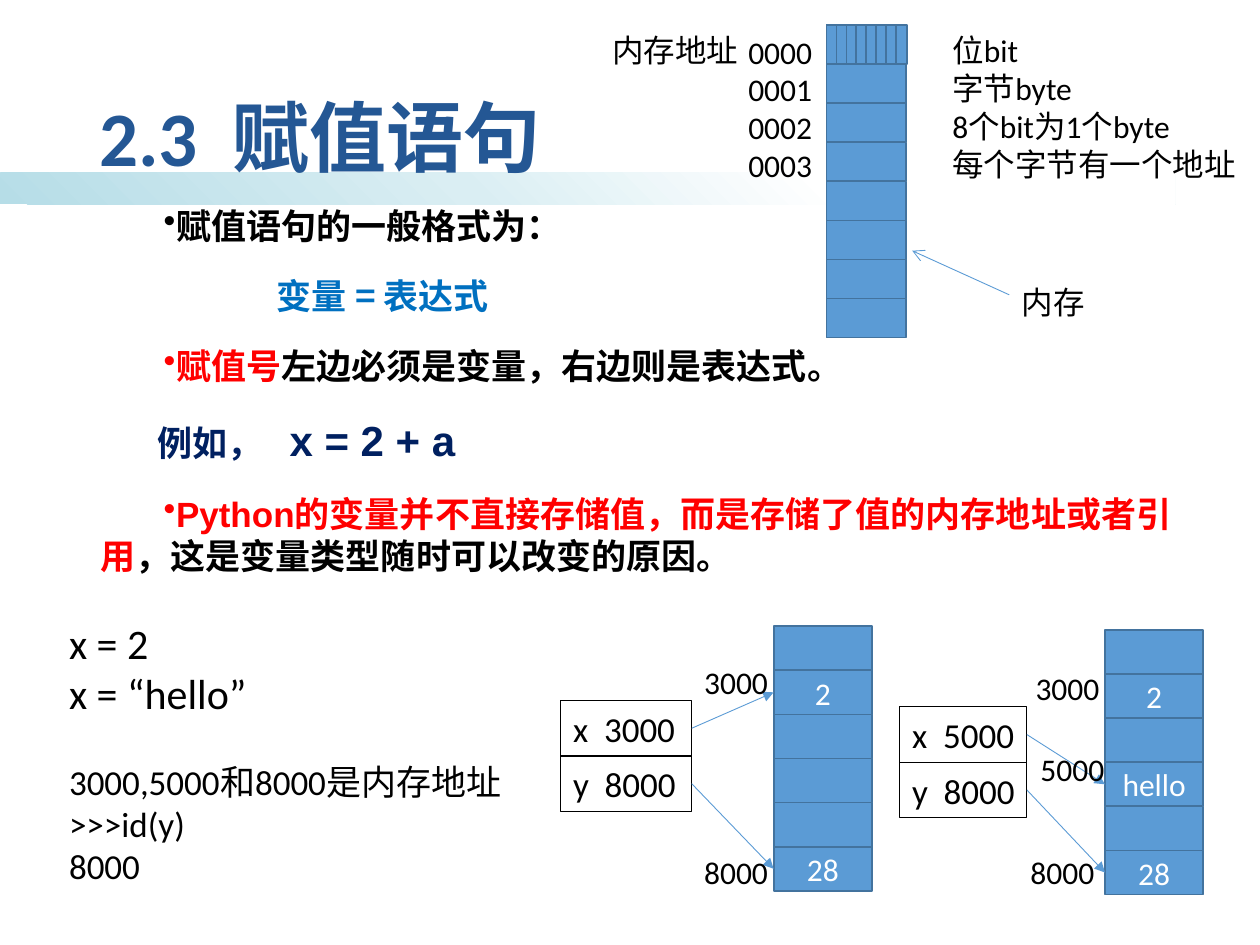
from lxml.etree import SubElement
from pptx import Presentation
from pptx.dml.color import RGBColor
from pptx.enum.shapes import MSO_CONNECTOR, MSO_SHAPE
from pptx.enum.text import MSO_ANCHOR, PP_ALIGN
from pptx.oxml import parse_xml
from pptx.oxml.ns import nsdecls, qn
from pptx.util import Inches, Pt

COLORS = {
    "title": "245794", "text": "000000", "red": "FF0000", "formula": "0070C0",
    "navy": "002060", "cell": "5B9BD5", "edge": "43739E", "white": "FFFFFF",
    "band": "B6DDE7", "band_mid": "DAEEF3",
}


def rgb(name):
    """Return the named colour."""
    return RGBColor.from_string(COLORS[name])


def set_font(font, color="text", **values):
    """Apply colour and format values to a font."""
    for key, value in {"name": "Calibri", "size": Pt(18), **values}.items():
        setattr(font, key, value)
    font.color.rgb = rgb(color)


def add_text(s, box, lines, size=18, wrap=False):
    """Add a text box with one paragraph per line and return its text frame."""
    tf = s.shapes.add_textbox(*map(Inches, box)).text_frame
    tf.word_wrap = wrap
    for i, line in enumerate(lines):
        p = tf.paragraphs[0] if i == 0 else tf.add_paragraph()
        r = p.add_run()
        r.text = line
        set_font(r.font, size=Pt(size))
    return tf


def add_box(s, box, fill=None, line=None, width=1):
    """Add a rectangle without shadow."""
    sp = s.shapes.add_shape(MSO_SHAPE.RECTANGLE, *map(Inches, box))
    sp.shadow.inherit = False
    if fill:
        sp.fill.solid()
        sp.fill.fore_color.rgb = rgb(fill)
    else:
        sp.fill.background()
    if line:
        sp.line.color.rgb = rgb(line)
        sp.line.width = Pt(width)
    else:
        sp.line.fill.background()
    return sp


def add_label(sp, text, color, size, align):
    """Write one line of text inside a shape."""
    tf = sp.text_frame
    tf.word_wrap = False
    tf.vertical_anchor = MSO_ANCHOR.MIDDLE
    p = tf.paragraphs[0]
    p.alignment = align
    r = p.add_run()
    r.text = text
    set_font(r.font, color, size=Pt(size))


def add_memory(s, left, top, size, step, values):
    """Add a run of memory cells, spaced by step, and return them."""
    cells = []
    for i, value in enumerate(values):
        box = (left + i * step[0], top + i * step[1], *size)
        cells.append(add_box(s, box, "cell", "edge"))
        if value:
            add_label(cells[-1], value, "white", 18, PP_ALIGN.CENTER)
    return cells


def add_arrow(s, ends, end="tailEnd", kind="triangle"):
    """Add a thin arrow with a head at the given end."""
    c = s.shapes.add_connector(MSO_CONNECTOR.STRAIGHT, *map(Inches, ends))
    c.line.color.rgb = rgb("cell")
    c.line.width = Pt(0.5)
    SubElement(c.line._get_or_add_ln(), qn("a:" + end), type=kind)
    SubElement(c._element.spPr, qn("a:effectLst"))
    return c


def add_variables(s, left, top, width, names, cells):
    """Add stacked variable boxes, each pointing at its memory cell."""
    for i, (name, cell) in enumerate(zip(names, cells)):
        sp = add_box(s, (left, top + i * 0.44, width, 0.44), None, "text", 0.75)
        add_label(sp, name, "text", 20, PP_ALIGN.LEFT)
        c = add_arrow(s, (0, 0, 1, 1))
        c.begin_connect(sp, 3)
        c.end_connect(cell, 1)


def add_band(s):
    """Add the fading band behind the title."""
    sp = add_box(s, (0, 1.37, 9.33, 0.25), "band")
    stops = ((0, "band"), (40, "band_mid"), (70, "white"), (100, "white"))
    gs = "".join(
        f'<a:gs pos="{pos * 1000}"><a:srgbClr val="{COLORS[name]}"/></a:gs>'
        for pos, name in stops)
    grad = parse_xml(f'<a:gradFill {nsdecls("a")}><a:gsLst>{gs}</a:gsLst>'
                     '<a:lin ang="18900000" scaled="0"/></a:gradFill>')
    spPr = sp._element.spPr
    spPr.replace(spPr.find(qn("a:solidFill")), grad)


def add_title(s):
    """Add the slide title."""
    tf = add_text(s, (0.69, 0.4, 8.62, 1.45), ["2.3  赋值语句"], wrap=True)
    tf.vertical_anchor = MSO_ANCHOR.MIDDLE
    p = tf.paragraphs[0]
    p.line_spacing = 0.9
    set_font(p.runs[0].font, "title", size=Pt(44), bold=True)


def add_body(s):
    """Add the explanation of assignment statements."""
    arial, cjk = "Arial", "Noto Sans CJK SC"
    paragraphs = (
        (0.5, True, [("赋值语句的一般格式为：", "text", arial, 20)]),
        (1.4, False, [("变量 = 表达式", "formula", cjk, 20)]),
        (0.5, True, [("赋值号", "red", arial, 20),
                     ("左边必须是变量，右边则是表达式。", "text", arial, 20)]),
        (0.45, False, [("例如，\t", "navy", arial, 20),
                       ("x = 2 + a", "navy", arial, 24)]),
        (0.5, True, [
            ("Python的变量并不直接存储值，而是存储了值的内存地址或者引用",
             "red", arial, 20),
            ("，这是变量类型随时可以改变的原因。", "text", arial, 20)]),
    )
    tf = s.shapes.add_textbox(*map(Inches, (0.45, 1.57, 9.1, 3.06))).text_frame
    tf.word_wrap = True
    for i, (indent, bullet, runs) in enumerate(paragraphs):
        p = tf.paragraphs[0] if i == 0 else tf.add_paragraph()
        p.space_before = Pt(10 if i else 0)
        p.space_after = Pt(6)
        pPr = p._p.get_or_add_pPr()
        pPr.set("marL", str(Inches(0.25)))
        pPr.set("indent", str(Inches(indent)))
        if bullet:
            SubElement(pPr, qn("a:buChar"), char="•")
        else:
            SubElement(pPr, qn("a:buNone"))
            tabs = SubElement(pPr, qn("a:tabLst"))
            SubElement(tabs, qn("a:tab"), pos=str(Inches(2.1)), algn="l")
        for text, color, name, size in runs:
            r = p.add_run()
            r.text = text
            set_font(r.font, color, name=name, size=Pt(size), bold=True)


def add_code(s):
    """Add the code example and its address note."""
    lines = ["x = 2", "x = “hello”", "3000,5000和8000是内存地址", ">>>id(y)", "8000"]
    tf = add_text(s, (0.45, 4.85, 3.66, 2.26), lines, 20, True)
    for p in tf.paragraphs[:2]:
        p.runs[0].font.size = Pt(24)
    tf.paragraphs[2].space_before = Pt(24)


def main():
    """Build and save the slide."""
    prs = Presentation()
    prs.slide_width, prs.slide_height = Inches(10), Inches(7.5)
    s = prs.slides.add_slide(prs.slide_layouts[6])
    add_band(s)
    add_title(s)
    add_body(s)
    add_code(s)

    add_memory(s, 6.56, 0.2, (0.63, 0.31), (0, 0.31), [""] * 8)
    add_memory(s, 6.56, 0.2, (0.09, 0.31), (0.55 / 7, 0), [""] * 8)
    add_text(s, (5.84, 0.21, 0.71, 1.31), [f"{i:04d}" for i in range(4)])
    add_text(s, (7.46, 0.2, 2.53, 1.31),
             ["位bit", "字节byte", "8个bit为1个byte", "每个字节有一个地址"], wrap=True)
    add_arrow(s, (7.24, 1.99, 8.01, 2.34), "headEnd", "arrow")

    size, step = (0.78, 0.35), (0, 0.35)
    before = add_memory(s, 6.14, 4.97, size, step, ["", "2", "", "", "", "28"])
    after = add_memory(s, 8.77, 5, size, step, ["", "2", "", "hello", "", "28"])
    add_variables(s, 4.45, 5.56, 1.04, ("x  3000", "y  8000"), (before[1], before[5]))
    add_variables(s, 7.14, 5.61, 1.01, ("x  5000", "y  8000"), (after[3], after[5]))

    labels = (
        ("内存地址", 4.76, 0.2, 1.21), ("内存", 8.01, 2.2, 0.71),
        ("3000", 5.49, 5.21, 0.71), ("8000", 5.49, 6.72, 0.71),
        ("3000", 8.12, 5.26, 0.71), ("5000", 8.16, 5.9, 0.74),
        ("8000", 8.08, 6.72, 0.71),
    )
    for text, left, top, width in labels:
        add_text(s, (left, top, width, 0.4), [text])
    prs.save("out.pptx")


if __name__ == "__main__":
    main()
